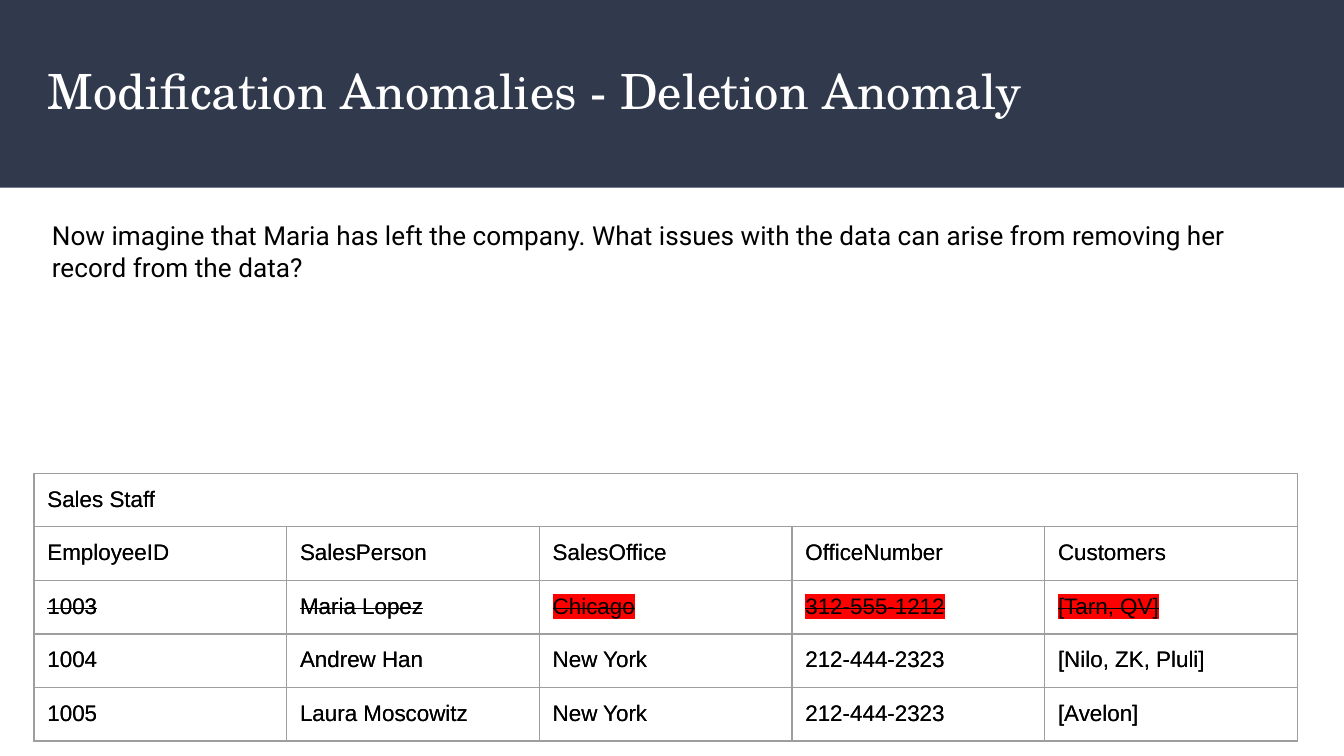
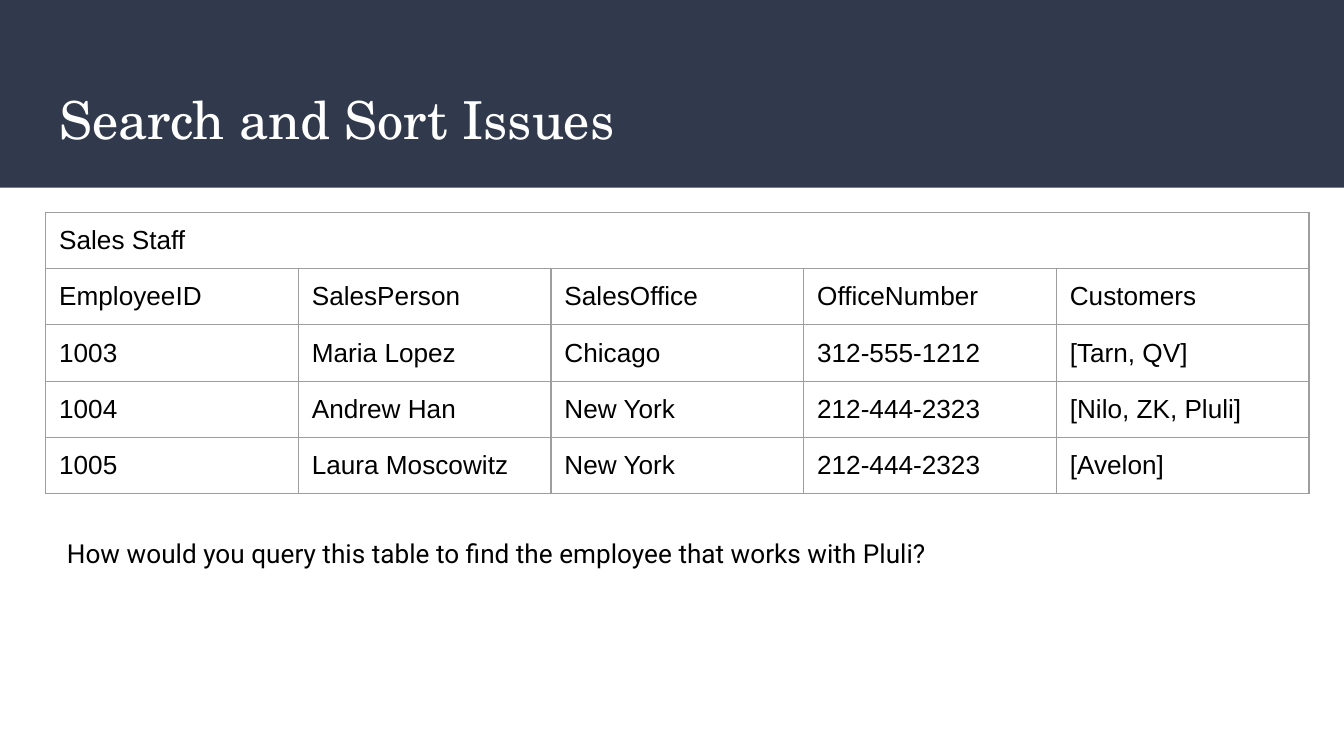
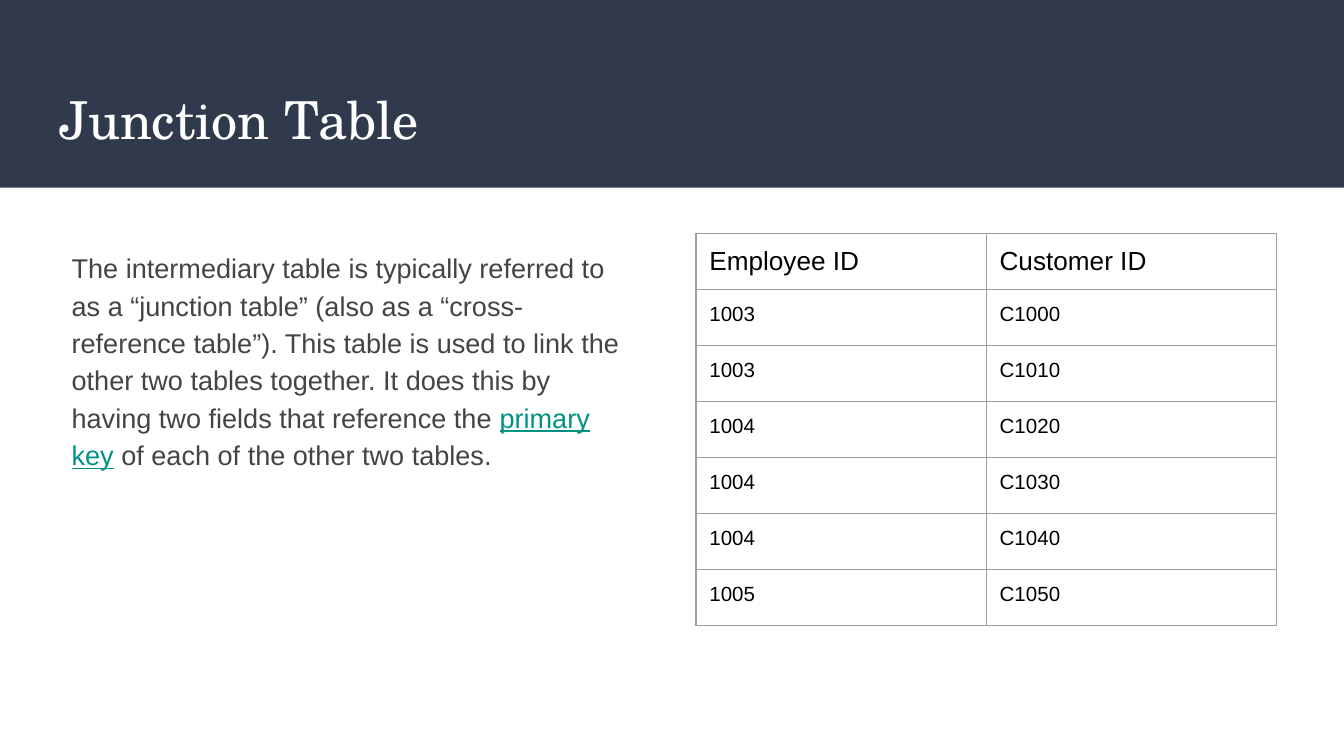
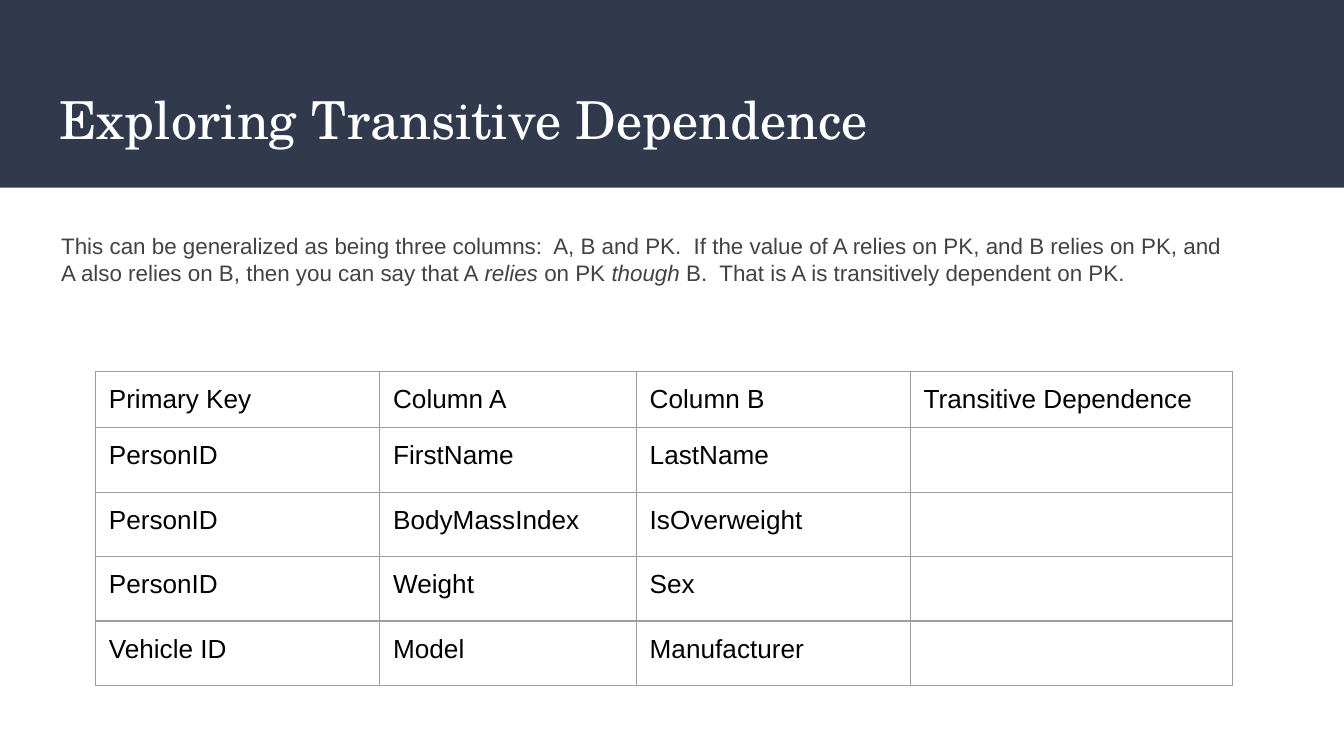
from lxml.etree import SubElement
from pptx import Presentation
from pptx.dml.color import RGBColor
from pptx.enum.shapes import MSO_SHAPE as Shape
from pptx.enum.text import MSO_ANCHOR as Anchor, MSO_AUTO_SIZE as Fit, PP_ALIGN as Align
from pptx.oxml import parse_xml
from pptx.oxml.ns import nsdecls, qn
from pptx.util import Pt

NAVY = RGBColor(0x31, 0x39, 0x4D)
WHITE = RGBColor(0xFF, 0xFF, 0xFF)
BLACK = RGBColor(0, 0, 0)
DARK = RGBColor(0x44, 0x44, 0x44)
GRAY = RGBColor(0x42, 0x42, 0x42)
TEAL = RGBColor(0x00, 0x93, 0x84)
RULE = RGBColor(0x9E, 0x9E, 0x9E)
RED = RGBColor(0xFF, 0, 0)
SERIF, SANS, BODY = "TeX Gyre Schola", "Arial", "Roboto"
PAD = Pt(7.2)


def write(shape, box, parts, size, face, color):
    """Place a text shape and fill its one paragraph with runs."""
    shape.left, shape.top, shape.width, shape.height = [Pt(n) for n in box]
    frame = shape.text_frame
    frame.word_wrap, frame.auto_size = True, Fit.NONE
    frame.vertical_anchor = Anchor.TOP
    frame.margin_left = frame.margin_right = PAD
    frame.margin_top = frame.margin_bottom = PAD
    para = frame.paragraphs[0]
    para.alignment = Align.LEFT
    for part in parts:
        run = para.add_run()
        run.text = part
        run.font.size, run.font.name = Pt(size), face
        run.font.color.rgb = color
    return para


def grid(slide, left, top, wide, high, rows, sizes):
    """Add a ruled table; a row with one text spans all columns."""
    frame = slide.shapes.add_table(len(rows), len(wide), Pt(left), Pt(top),
                                   Pt(sum(wide)), Pt(sum(high)))
    table = frame.table
    table.first_row = table.horz_banding = False
    for col, width in zip(table.columns, wide):
        col.width = Pt(width)
    for r, texts in enumerate(rows):
        table.rows[r].height = Pt(high[r])
        if len(texts) == 1:
            table.cell(r, 0).merge(table.cell(r, len(wide) - 1))
        for c in range(len(wide)):
            cell = table.cell(r, c)
            cell.margin_left = cell.margin_right = PAD
            cell.margin_top = cell.margin_bottom = PAD
            cell.fill.background()
            props = cell._tc.get_or_add_tcPr()
            for i, side in enumerate("LRTB"):
                props.insert(i, parse_xml(
                    f'<a:ln{side} {nsdecls("a")} w="{Pt(0.75)}"><a:solidFill>'
                    f'<a:srgbClr val="{RULE}"/></a:solidFill></a:ln{side}>'))
            para = cell.text_frame.paragraphs[0]
            text = texts[c] if c < len(texts) else ""
            if text:
                para.text = text
                font = para.runs[0].font
                font.size, font.name = Pt(sizes[r]), SANS
                font.color.rgb = BLACK
            else:
                SubElement(para._p, qn("a:endParaRPr"), sz=str(sizes[r] * 100))
    return table


# Deck and titles
deck = Presentation()
deck.slide_width, deck.slide_height = Pt(720), Pt(405)
look = deck.slide_layouts[5]
HEAD = (24.5, 39.6, 671, 49)
heads = [
    ("Modification Anomalies - Deletion Anomaly", (18.2, 25.6, 698.4, 63.4), 26),
    ("Search and Sort Issues", HEAD, 28),
    ("Junction Table", HEAD, 28),
    ("Exploring Transitive Dependence", HEAD, 28),
]
pages = []
for text, box, size in heads:
    page = deck.slides.add_slide(look)
    write(page.shapes.title, box, [text], size, SERIF, WHITE)
    pages.append(page)
loss, search, link, chain = pages

# Shared band, moved to the back of the layout
band = loss.shapes.add_shape(Shape.RECTANGLE, 0, 0, Pt(720), Pt(100.5))
band.shadow.inherit = False
band.fill.solid()
band.fill.fore_color.rgb = NAVY
band.line.fill.background()
look.shapes.element.insert(2, band.element)

# Sales staff table, used on two slides
staff = [
    ["Sales Staff"],
    ["EmployeeID", "SalesPerson", "SalesOffice", "OfficeNumber", "Customers"],
    ["1003", "Maria Lopez", "Chicago", "312-555-1212", "[Tarn, QV]"],
    ["1004", "Andrew Han", "New York", "212-444-2323", "[Nilo, ZK, Pluli]"],
    ["1005", "Laura Moscowitz", "New York", "212-444-2323", "[Avelon]"],
]
wide = [135.37] * 5

# Deletion anomaly: two stacked tables, Maria's row struck out, lost facts marked
tables = [grid(loss, 18.2, 253.6, wide, [28.7] * 5, staff, [12] * 5)]
write(loss.shapes.add_textbox(0, 0, 0, 0), (20.7, 110.6, 677, 127.4),
      ["Now imagine that Maria has left the company. What issues with the data "
       "can arise from removing her record from the data?"], 14, BODY, BLACK)
tables.append(grid(loss, 18.2, 253.6, wide, [28.7] * 5, staff, [12] * 5))
for table in tables:
    for c in range(5):
        props = table.cell(2, c).text_frame.paragraphs[0].runs[0].font._element
        props.set("strike", "sngStrike")
        if c > 1:
            props.find(qn("a:solidFill")).addnext(parse_xml(
                f'<a:highlight {nsdecls("a")}><a:srgbClr val="{RED}"/></a:highlight>'))

# Search and sort
grid(search, 24.5, 113.7, wide, [30.1] * 5, staff, [14] * 5)
write(search.shapes.add_textbox(0, 0, 0, 0), (28.8, 280.6, 672.5, 103.7),
      ["How would you query this table to find the employee that works with Pluli?"],
      14, BODY, BLACK)

# Junction table
para = write(link.shapes.add_textbox(0, 0, 0, 0), (31.3, 125, 315.4, 256.3),
             ["The intermediary table is typically referred to as a “junction table” "
              "(also as a “cross-reference table”). This table is used to link the "
              "other two tables together. It does this by having two fields that "
              "reference the ", "primary key", " of each of the other two tables."],
             14.5, SANS, DARK)
para.line_spacing = 1.15
key = para.runs[1].font
key.color.rgb, key.underline = TEAL, True
staff_ids = ["1003", "1003", "1004", "1004", "1004", "1005"]
pairs = [[who, f"C{1000 + 10 * i}"] for i, who in enumerate(staff_ids)]
grid(link, 372.8, 125, [155.5] * 2, [30] * 7,
     [["Employee ID", "Customer ID"]] + pairs, [14] + [11] * 6)

# Transitive dependence
para = write(chain.shapes.add_textbox(0, 0, 0, 0), (25.7, 117.4, 640.8, 72.7),
             ["This can be generalized as being three columns:  A, B and PK.  If the "
              "value of A relies on PK, and B relies on PK, and A also relies on B, "
              "then you can say that A ", "relies ", "on PK ", "though",
              " B.  That is A is transitively dependent on PK."], 12, SANS, GRAY)
for run in para.runs[1::2]:
    run.font.italic = True
grid(chain, 51.1, 199, [152.3, 137.5, 146.8, 172.5], [30] + [34.5] * 4, [
    ["Primary Key", "Column A", "Column B", "Transitive Dependence"],
    ["PersonID", "FirstName", "LastName", ""],
    ["PersonID", "BodyMassIndex", "IsOverweight", ""],
    ["PersonID", "Weight", "Sex", ""],
    ["Vehicle ID", "Model", "Manufacturer", ""],
], [14] * 5)

deck.save("out.pptx")
